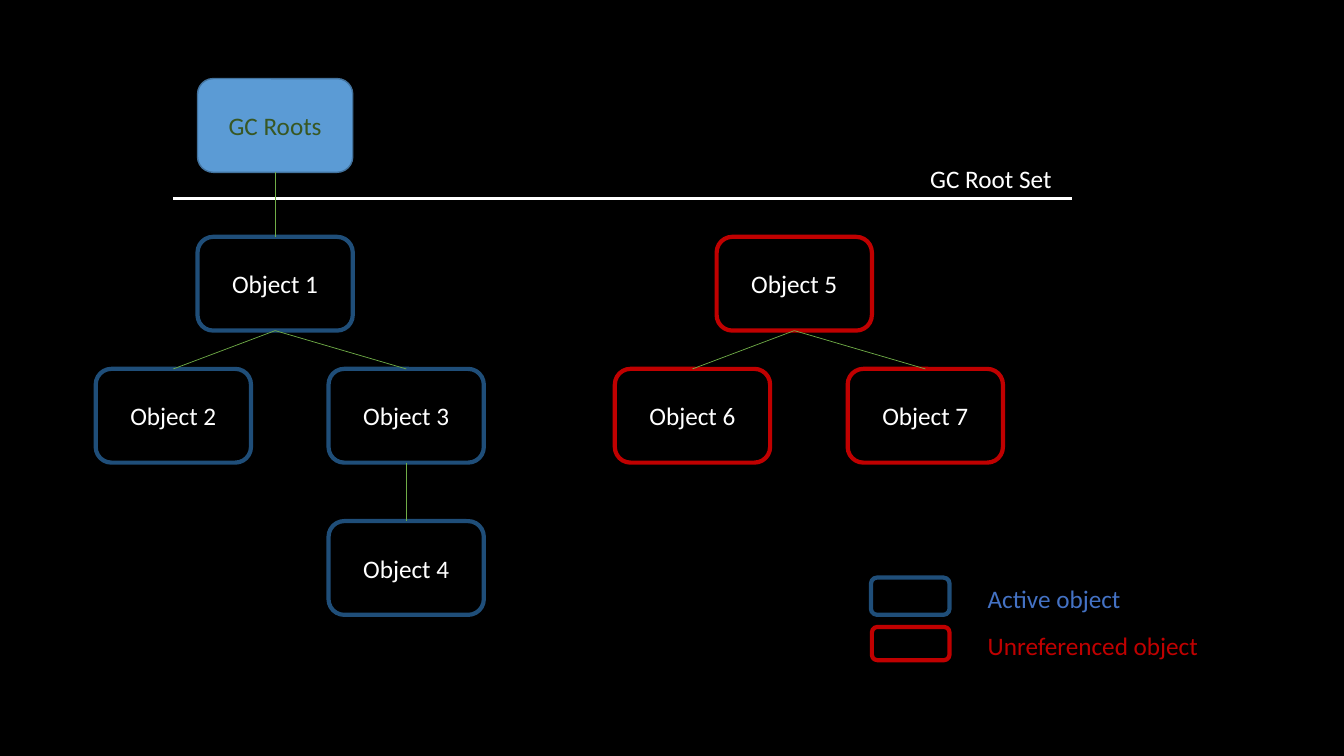
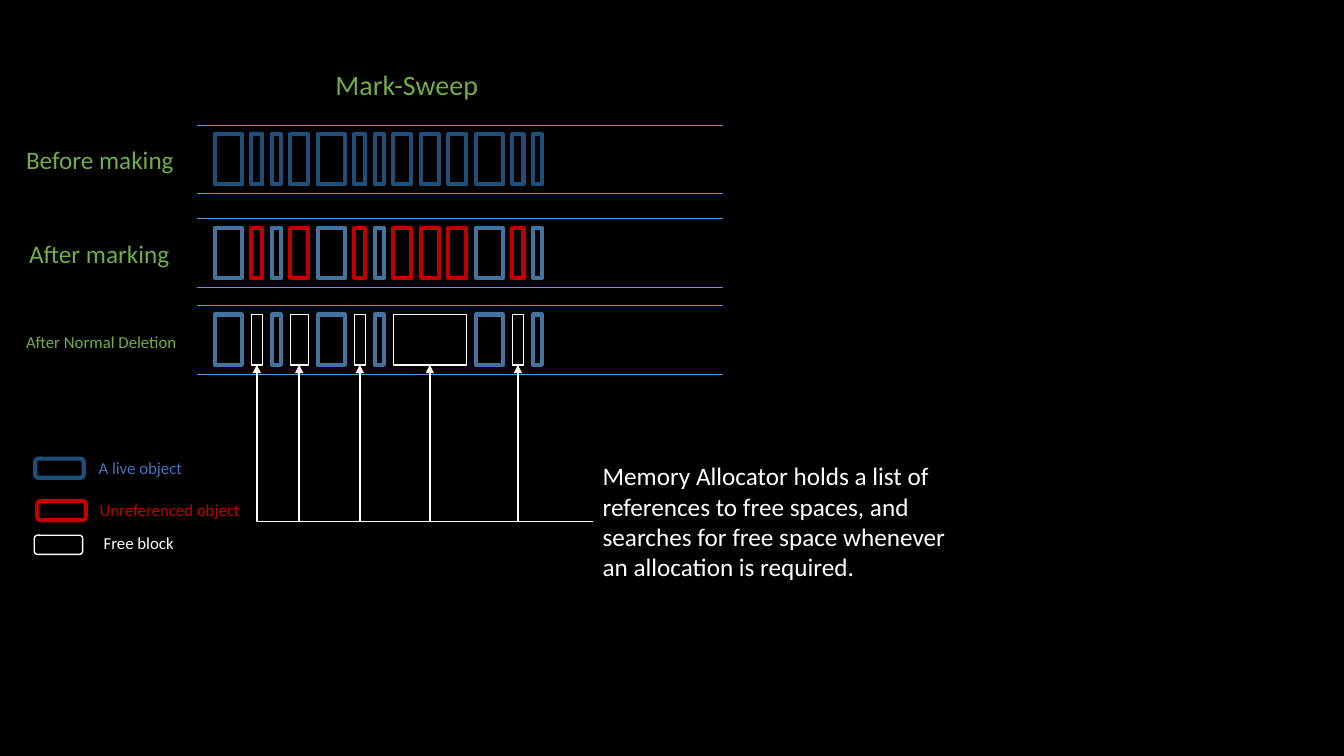
"""Draw two garbage collection slides: reachability from the roots, and Mark-Sweep."""
from dataclasses import dataclass
from typing import Optional

from lxml.etree import SubElement
from pptx import Presentation
from pptx.dml.color import RGBColor
from pptx.enum.shapes import MSO_CONNECTOR, MSO_SHAPE
from pptx.enum.text import MSO_ANCHOR, MSO_AUTO_SIZE, PP_ALIGN
from pptx.oxml.ns import qn
from pptx.shapes.autoshape import Shape
from pptx.shapes.connector import Connector
from pptx.slide import Slide
from pptx.util import Inches, Pt

BLACK = RGBColor(0x00, 0x00, 0x00)
WHITE = RGBColor(0xFF, 0xFF, 0xFF)
NAVY = RGBColor(0x1F, 0x4E, 0x79)
STEEL = RGBColor(0x43, 0x73, 0x9E)
SKY = RGBColor(0x5B, 0x9B, 0xD5)
BLUE = RGBColor(0x44, 0x72, 0xC4)
RED = RGBColor(0xC0, 0x00, 0x00)
GREEN = RGBColor(0x70, 0xAD, 0x47)
DARK_GREEN = RGBColor(0x38, 0x57, 0x23)

FONT = "Calibri"
ROWS = 75
SLIDE_W, SLIDE_H = Inches(13.333), Inches(7.5)
CELL = SLIDE_H / ROWS

NODE_W, NODE_H = 15.4, 9.3
STRIP_LEFT, STRIP_RIGHT, STRIP_H = 19.5, 71.7, 6.8
BLOCK_LEFT, BLOCK_H, BLOCK_GAP = 21.3, 5, 0.93
BLOCK_W = {"L": 2.7, "M": 1.8, "S": 1.1, "T": 0.9}
BLOCK_W["W"] = 3 * BLOCK_W["M"] + 2 * BLOCK_GAP
DEAD = "SMW"


@dataclass(frozen=True)
class Box:
    """A place on the grid, in columns and rows."""
    x: float
    y: float
    w: float
    h: float


@dataclass(frozen=True)
class Stroke:
    """An outline colour and its width in points."""
    color: RGBColor
    width: float


@dataclass(frozen=True)
class Node:
    """An object of the reference graph and the node that holds it."""
    name: str
    x: float
    y: float
    stroke: Stroke
    parent: Optional[str] = None
    fill: Optional[RGBColor] = None
    color: RGBColor = WHITE


@dataclass(frozen=True)
class Key:
    """A legend entry."""
    swatch: Box
    stroke: Stroke
    text: str
    label: Box
    color: RGBColor


@dataclass(frozen=True)
class Strip:
    """One stage of the heap; the letters are block sizes."""
    label: str
    label_box: Box
    size: int
    top: float
    blocks: str
    live: Stroke
    dead: Stroke


ACTIVE = Stroke(NAVY, 3)
LIVE = Stroke(STEEL, 3)
UNREFERENCED = Stroke(RED, 3)
FREE = Stroke(WHITE, 1)
LINK = Stroke(GREEN, 0.5)
EDGE = Stroke(SKY, 0.5)
ROOT_LINE = Stroke(WHITE, 2.5)
POINTER = Stroke(WHITE, 1.25)

NODES = [
    Node("GC Roots", 19.6, 7.8, Stroke(STEEL, 1), fill=SKY, color=DARK_GREEN),
    Node("Object 1", 19.6, 23.5, ACTIVE, "GC Roots"),
    Node("Object 2", 9.5, 36.6, ACTIVE, "Object 1"),
    Node("Object 3", 32.6, 36.6, ACTIVE, "Object 1"),
    Node("Object 4", 32.6, 51.7, ACTIVE, "Object 3"),
    Node("Object 5", 71.1, 23.5, UNREFERENCED),
    Node("Object 6", 61, 36.6, UNREFERENCED, "Object 5"),
    Node("Object 7", 84.1, 36.6, UNREFERENCED, "Object 5"),
]
GRAPH_KEYS = [
    Key(Box(86.4, 57.3, 7.8, 3.7), ACTIVE, "Active object", Box(97, 57.4, 15.4, 4), BLUE),
    Key(Box(86.5, 62.2, 7.7, 3.3), UNREFERENCED, "Unreferenced object",
        Box(97, 62, 23.1, 4), RED),
]
HEAP_KEYS = [
    Key(Box(3.5, 45.5, 4.8, 1.9), ACTIVE, "A live object", Box(8.8, 44.9, 10.4, 3), BLUE),
    Key(Box(3.7, 49.7, 4.8, 1.9), UNREFERENCED, "Unreferenced object",
        Box(8.9, 49.1, 16.1, 3), RED),
    Key(Box(3.4, 53.1, 4.8, 1.9), FREE, "Free block", Box(9.3, 52.4, 9.1, 3), WHITE),
]
STRIPS = [
    Strip("Before making", Box(1.6, 13.8, 16.8, 4), 18, 12.4, "LSTMLSTMMMLST", ACTIVE, ACTIVE),
    Strip("After marking", Box(1.9, 23.2, 16.1, 4), 18, 21.7, "LSTMLSTMMMLST", LIVE,
          UNREFERENCED),
    Strip("After Normal Deletion", Box(1.6, 32.4, 17.2, 3), 12, 30.3, "LSTMLSTWLST", LIVE, FREE),
]


def grid(n: float) -> int:
    """Turn grid cells into a length."""
    return round(n * CELL)


def place(box: Box) -> tuple[int, int, int, int]:
    """Turn a box into left, top, width and height."""
    return grid(box.x), grid(box.y), grid(box.w), grid(box.h)


def write(sp: Shape, text: str, *, size: int = 18, color: RGBColor = WHITE,
          align: PP_ALIGN = PP_ALIGN.LEFT) -> None:
    """Put one formatted paragraph into a shape."""
    p = sp.text_frame.paragraphs[0]
    p.alignment = align
    r = p.add_run()
    r.text = text
    r.font.name, r.font.size = FONT, Pt(size)
    r.font.color.rgb = color


def add_text(s: Slide, box: Box, text: str, *, wrap: bool = False, size: int = 18,
             color: RGBColor = WHITE) -> Shape:
    """Add a text box."""
    sp = s.shapes.add_textbox(*place(box))
    tf = sp.text_frame
    tf.word_wrap = wrap
    tf.auto_size = MSO_AUTO_SIZE.SHAPE_TO_FIT_TEXT
    write(sp, text, size=size, color=color)
    return sp


def add_box(s: Slide, box: Box, stroke: Stroke, *, fill: Optional[RGBColor] = None,
            kind: MSO_SHAPE = MSO_SHAPE.ROUNDED_RECTANGLE) -> Shape:
    """Add an outlined shape."""
    sp = s.shapes.add_shape(kind, *place(box))
    sp.shadow.inherit = False
    if fill is None:
        sp.fill.background()
    else:
        sp.fill.solid()
        sp.fill.fore_color.rgb = fill
    sp.line.color.rgb, sp.line.width = stroke.color, Pt(stroke.width)
    return sp


def add_line(s: Slide, stroke: Stroke, x1: float = 0, y1: float = 0, x2: float = 0,
             y2: float = 0, *, kind: MSO_CONNECTOR = MSO_CONNECTOR.STRAIGHT) -> Connector:
    """Add a connector between two grid points."""
    c = s.shapes.add_connector(kind, grid(x1), grid(y1), grid(x2), grid(y2))
    c.line.color.rgb, c.line.width = stroke.color, Pt(stroke.width)
    SubElement(c._element.spPr, qn("a:effectLst"))
    return c


def add_link(s: Slide, parent: Shape, child: Shape) -> None:
    """Join the bottom of a node to the top of its child."""
    c = add_line(s, LINK)
    c.begin_connect(parent, 2)
    c.end_connect(child, 0)


def add_pointer(s: Slide, note: Shape, block: Shape) -> None:
    """Draw an arrow from the left of the note, with one bend, up to a block."""
    c = add_line(s, POINTER, kind=MSO_CONNECTOR.ELBOW)
    c.begin_connect(note, 1)
    c.end_connect(block, 2)
    c._element.spPr.find(qn("a:prstGeom")).set("prst", "bentConnector2")
    SubElement(c.line._get_or_add_ln(), qn("a:tailEnd"), type="triangle")


def add_legend(s: Slide, keys: list[Key], size: int) -> None:
    """Draw swatches with their labels."""
    for key in keys:
        add_box(s, key.swatch, key.stroke)
        add_text(s, key.label, key.text, size=size, color=key.color)


def add_strip(s: Slide, strip: Strip) -> list[Shape]:
    """Draw one heap stage and return its dead blocks."""
    for y in (strip.top, strip.top + STRIP_H):
        add_line(s, EDGE, STRIP_LEFT, y, STRIP_RIGHT, y)
    add_text(s, strip.label_box, strip.label, size=strip.size, color=GREEN)
    dead = []
    x, y = BLOCK_LEFT, strip.top + (STRIP_H - BLOCK_H) / 2
    for letter in strip.blocks:
        w = BLOCK_W[letter]
        stroke = strip.dead if letter in DEAD else strip.live
        sp = add_box(s, Box(x, y, w, BLOCK_H), stroke, kind=MSO_SHAPE.RECTANGLE)
        if letter in DEAD:
            dead.append(sp)
        x += w + BLOCK_GAP
    return dead


def add_slide(prs: Presentation) -> Slide:
    """Add a blank slide with the shared black background."""
    s = prs.slides.add_slide(prs.slide_layouts[6])
    s.background.fill.solid()
    s.background.fill.fore_color.rgb = BLACK
    return s


def draw_graph(prs: Presentation) -> None:
    """Draw the objects that the roots reach and those they do not."""
    s = add_slide(prs)
    add_line(s, ROOT_LINE, 17.2, 19.7, 106.3, 19.7)
    add_text(s, Box(91.3, 15.7, 17.1, 4.1), "GC Root Set", wrap=True)
    shapes = {}
    for node in NODES:
        sp = add_box(s, Box(node.x, node.y, NODE_W, NODE_H), node.stroke, fill=node.fill)
        sp.text_frame.vertical_anchor = MSO_ANCHOR.MIDDLE
        write(sp, node.name, color=node.color, align=PP_ALIGN.CENTER)
        shapes[node.name] = sp
    for node in NODES:
        if node.parent:
            add_link(s, shapes[node.parent], shapes[node.name])
    add_legend(s, GRAPH_KEYS, 18)


def draw_heap(prs: Presentation) -> None:
    """Draw the heap stages and the free list."""
    s = add_slide(prs)
    add_text(s, Box(32.3, 6.2, 26.6, 4.4), "Mark-Sweep", wrap=True, size=20, color=GREEN)
    *_, free_blocks = [add_strip(s, strip) for strip in STRIPS]
    add_legend(s, HEAP_KEYS, 12)
    note = add_text(s, Box(58.8, 45.2, 36.4, 13.1),
                    "Memory Allocator holds a list of references to free spaces, and searches "
                    "for free space whenever an allocation is required.", wrap=True)
    for block in free_blocks:
        add_pointer(s, note, block)


def main() -> None:
    """Build the presentation."""
    prs = Presentation()
    prs.slide_width, prs.slide_height = SLIDE_W, SLIDE_H
    draw_graph(prs)
    draw_heap(prs)
    prs.save("out.pptx")


main()
